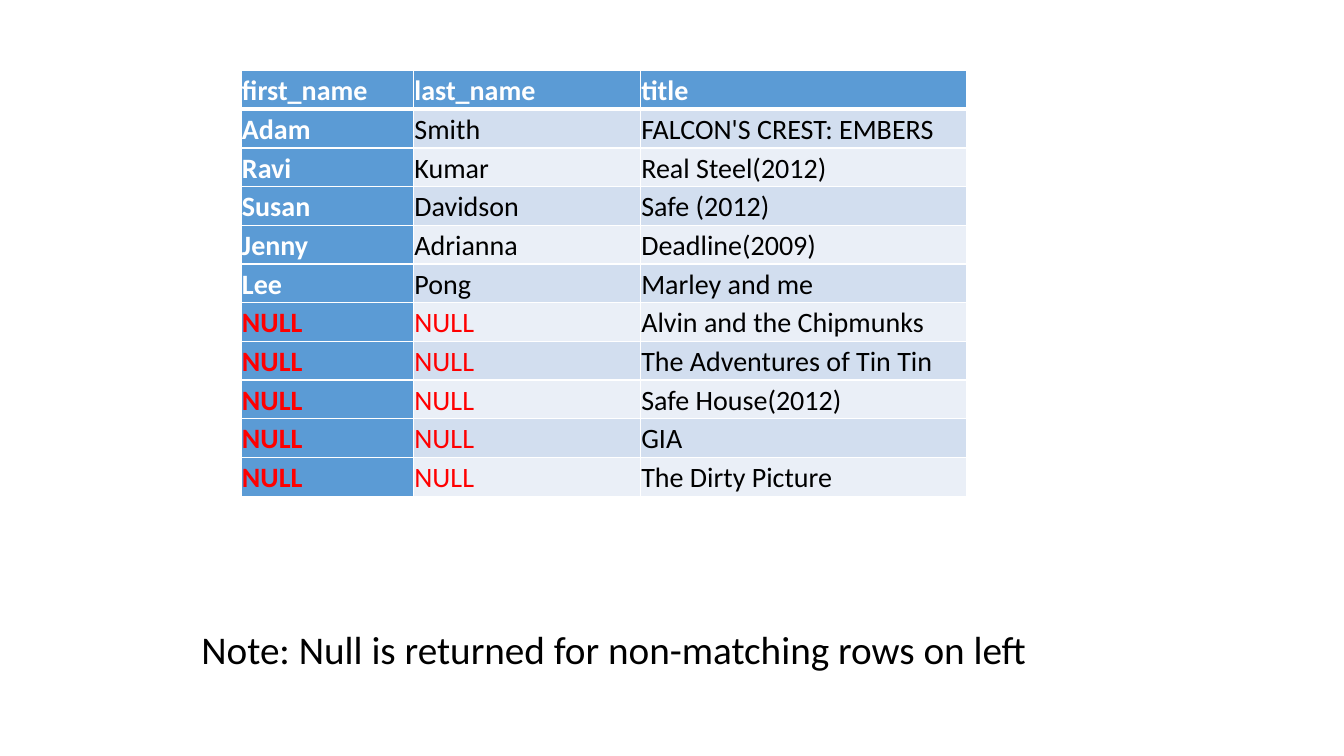
from lxml.etree import SubElement
from pptx import Presentation
from pptx.dml.color import RGBColor
from pptx.enum.text import MSO_ANCHOR as Anchor, MSO_AUTO_SIZE as AutoSize
from pptx.oxml.ns import qn
from pptx.util import Inches, Pt

WHITE = RGBColor(0xFF, 0xFF, 0xFF)
BLACK = RGBColor(0x00, 0x00, 0x00)
RED = RGBColor(0xFF, 0x00, 0x00)
BLUE = RGBColor(0x5B, 0x9B, 0xD5)
BANDS = (RGBColor(0xD2, 0xDE, 0xEF), RGBColor(0xEA, 0xEF, 0xF7))

HEADINGS = ("first_name", "last_name", "title")
MEMBERS = [
    ("Adam", "Smith", "FALCON'S CREST: EMBERS"),
    ("Ravi", "Kumar", "Real Steel(2012)"),
    ("Susan", "Davidson", "Safe (2012)"),
    ("Jenny", "Adrianna", "Deadline(2009)"),
    ("Lee", "Pong", "Marley and me"),
]
UNMATCHED_TITLES = (
    "Alvin and the Chipmunks",
    "The Adventures of Tin Tin",
    "Safe House(2012)",
    "GIA",
    "The Dirty Picture",
)


def write(para, text, size=20, color=BLACK, bold=False, font="Calibri"):
    span = para.add_run()
    span.text = text
    span.font.name = font
    span.font.size = Pt(size)
    span.font.bold = bold
    span.font.color.rgb = color


class Page:
    """Places elements by percent of the slide's width and height."""

    def __init__(self, deck):
        self.deck = deck
        self.slide = deck.slides.add_slide(deck.slide_layouts[6])

    def across(self, percent):
        return round(self.deck.slide_width * percent / 100)

    def down(self, percent):
        return round(self.deck.slide_height * percent / 100)

    def frame(self, left, top, width, height):
        return self.across(left), self.down(top), self.across(width), self.down(height)

    def border(self, cell, bottom):
        properties = cell._tc.get_or_add_tcPr()
        for side, width in (("L", 1), ("R", 1), ("T", 1), ("B", bottom)):
            line = SubElement(properties, qn(f"a:ln{side}"), w=str(Pt(width)))
            fill = SubElement(line, qn("a:solidFill"))
            SubElement(fill, qn("a:srgbClr"), val=str(WHITE))

    def cell(self, cell, text, fill, color, bold, bottom):
        self.border(cell, bottom)
        cell.fill.solid()
        cell.fill.fore_color.rgb = fill
        cell.vertical_anchor = Anchor.MIDDLE
        cell.margin_left = cell.margin_right = Inches(0.01)
        cell.margin_top = cell.margin_bottom = Inches(0.01)
        para = cell.text_frame.paragraphs[0]
        para.line_spacing = 1.07
        write(para, text, color=color, bold=bold)

    def table(self, rows, left, top, widths, row_height):
        area = self.frame(left, top, sum(widths), row_height * len(rows))
        table = self.slide.shapes.add_table(len(rows), len(widths), *area).table
        table.first_row = table.horz_banding = False
        for column, width in zip(table.columns, widths):
            column.width = self.across(width)
        for r, row in enumerate(rows):
            table.rows[r].height = self.down(row_height)
            for c, text in enumerate(row):
                # The first row and first column are headings
                heading = r == 0 or c == 0
                fill = BLUE if heading else BANDS[(r - 1) % 2]
                color = RED if text == "NULL" else WHITE if heading else BLACK
                self.cell(table.cell(r, c), text, fill, color, heading,
                          bottom=3 if r == 0 else 1)

    def text(self, text, left, top, width, height, **style):
        box = self.slide.shapes.add_textbox(*self.frame(left, top, width, height))
        box.text_frame.word_wrap = True
        box.text_frame.auto_size = AutoSize.SHAPE_TO_FIT_TEXT
        write(box.text_frame.paragraphs[0], text, **style)


def main():
    deck = Presentation()
    deck.slide_width, deck.slide_height = Inches(13.33), Inches(7.5)
    page = Page(deck)

    # Join result
    unmatched = [("NULL", "NULL", title) for title in UNMATCHED_TITLES]
    page.table([HEADINGS] + MEMBERS + unmatched, left=17.93, top=9.33,
               widths=(12.83, 16.88, 24.31), row_height=4.9)

    # Note under the table
    page.text("Note: Null is returned for non-matching rows on left",
              left=14.25, top=82, width=69.62, height=7.6, size=28)

    deck.save("out.pptx")


if __name__ == "__main__":
    main()
